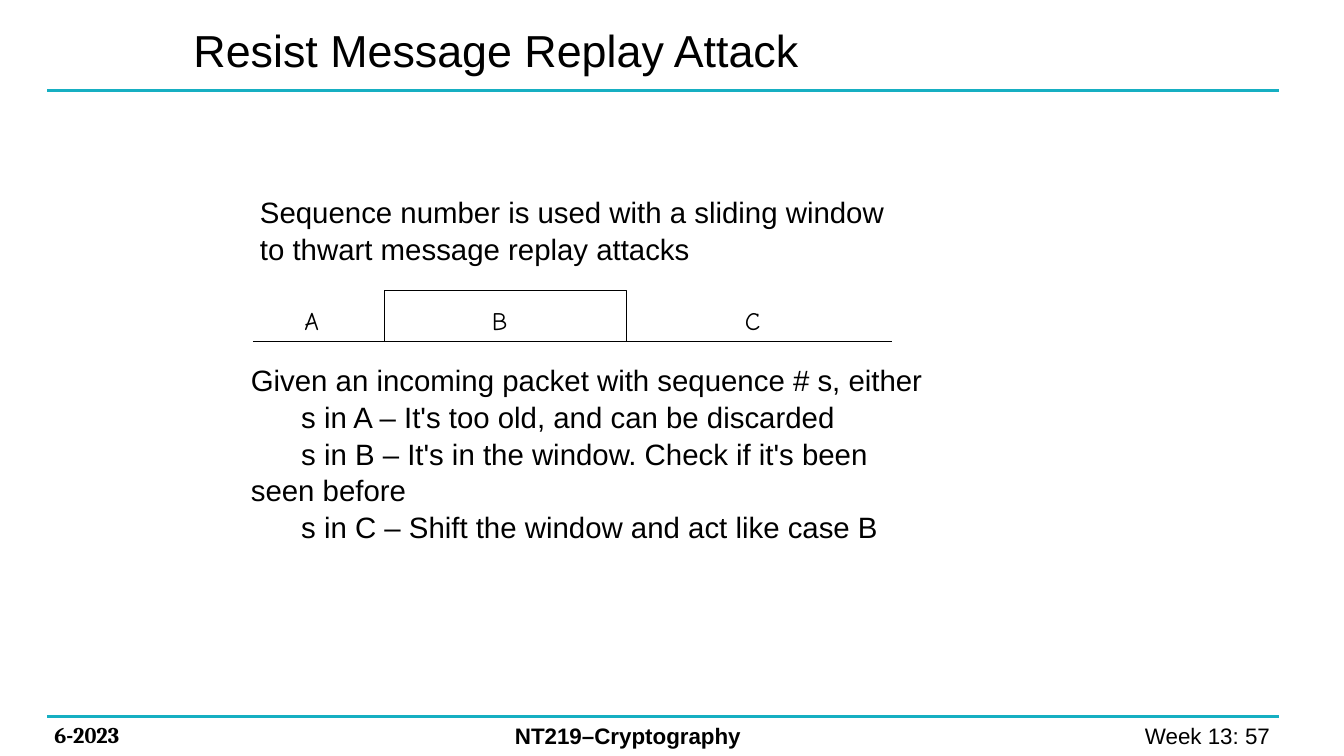
"""Build the slide on resisting message replay attacks with a sliding window."""
import lxml.etree
import pptx
import pptx.dml.color
import pptx.enum.shapes
import pptx.enum.text
import pptx.oxml.ns
import pptx.util

Pt = pptx.util.Pt
ALIGN = pptx.enum.text.PP_ALIGN
ANCHOR = pptx.enum.text.MSO_ANCHOR
BLACK, WHITE, TEAL = "000000", "FFFFFF", "16AFC2"
WIDE, NARROW = (7.2, 3.6), (5, 2.2)


def color(value):
    return pptx.dml.color.RGBColor.from_string(value)


def write(shape, box, lines, size, name="Arial", bold=False, align=ALIGN.LEFT,
          insets=WIDE, anchor=ANCHOR.TOP, spacing=1.0, tab=None):
    shape.left, shape.top, shape.width, shape.height = map(Pt, box)
    frame = shape.text_frame
    frame.word_wrap = True
    frame.auto_size = pptx.enum.text.MSO_AUTO_SIZE.NONE
    frame.vertical_anchor = anchor
    frame.margin_left = frame.margin_right = Pt(insets[0])
    frame.margin_top = frame.margin_bottom = Pt(insets[1])
    frame.text = "\n".join(lines)
    for paragraph in frame.paragraphs:
        properties = paragraph._p.get_or_add_pPr()
        if tab:
            properties.set("marL", "0")
            properties.set("indent", "0")
            lxml.etree.SubElement(properties, pptx.oxml.ns.qn("a:buNone"))
            tabs = lxml.etree.SubElement(properties, pptx.oxml.ns.qn("a:tabLst"))
            lxml.etree.SubElement(tabs, pptx.oxml.ns.qn("a:tab"), pos=str(Pt(tab)), algn="l")
        paragraph.alignment = align
        paragraph.line_spacing = spacing
        paragraph.space_before = Pt(0)
        paragraph.font.size = Pt(size)
        paragraph.font.name = name
        paragraph.font.bold = bold
        paragraph.font.color.rgb = color(BLACK)


presentation = pptx.Presentation()
presentation.slide_width, presentation.slide_height = Pt(960), Pt(540)
slide = presentation.slides.add_slide(presentation.slide_layouts[1])
shapes = slide.shapes

write(shapes.title, (131, 0, 587.5, 71.3), ["Resist Message Replay Attack"], 32,
      anchor=ANCHOR.MIDDLE)

footers = [
    ((31.7, 511.9, 128.2, 26.6), "6-2023", "Cambria", True, ALIGN.LEFT),
    ((360.7, 512.6, 294.5, 26.6), "NT219–Cryptography", "Arial", True, ALIGN.LEFT),
    ((707, 512.6, 211.7, 26.6), "Week 13: 57 ", "Arial", False, ALIGN.RIGHT),
]
for box, text, name, bold, align in footers:
    write(shapes.add_textbox(0, 0, 0, 0), box, [text], 16, name, bold, align)

write(shapes.add_textbox(0, 0, 0, 0), (180.7, 135.4, 463.7, 61.9),
      ["Sequence number is used with a sliding window\vto thwart message replay attacks"],
      21, insets=NARROW, spacing=1.04)

window = shapes.add_shape(pptx.enum.shapes.MSO_SHAPE.RECTANGLE,
                          Pt(275), Pt(207.4), Pt(172.8), Pt(36.7))
window.shadow.inherit = False
window.fill.solid()
window.fill.fore_color.rgb = color(WHITE)
window.line.color.rgb = color(BLACK)
window.line.width = Pt(0.75)

rules = [
    (33.8, 913.7, 64.8, TEAL, 2.25),
    (33.8, 913.7, 511.9, TEAL, 2.25),
    (180.7, 290.9, 244.1, BLACK, 0.75),
    (432.7, 637.2, 244.1, BLACK, 0.75),
]
for start, end, height, line_color, width in rules:
    rule = shapes.add_connector(pptx.enum.shapes.MSO_CONNECTOR.STRAIGHT,
                                Pt(start), Pt(height), Pt(end), Pt(height))
    rule.line.color.rgb = color(line_color)
    rule.line.width = Pt(width)
    lxml.etree.SubElement(rule._element.spPr, pptx.oxml.ns.qn("a:effectLst"))

for letter, left in [("A", 212.4), ("B", 346.3), ("C", 527)]:
    write(shapes.add_textbox(0, 0, 0, 0), (left, 216, 23.5, 28), [letter], 18,
          "Comic Neue", insets=NARROW)

cases = [
    "Given an incoming packet with sequence # s, either",
    "\ts in A – It's too old, and can be discarded",
    "\ts in B – It's in the window. Check if it's been seen before",
    "\ts in C – Shift the window and act like case B",
]
write(slide.placeholders[1], (174.2, 255.6, 501.1, 98.6), cases, 21,
      insets=NARROW, spacing=1.04, tab=51.5)

presentation.save("out.pptx")
